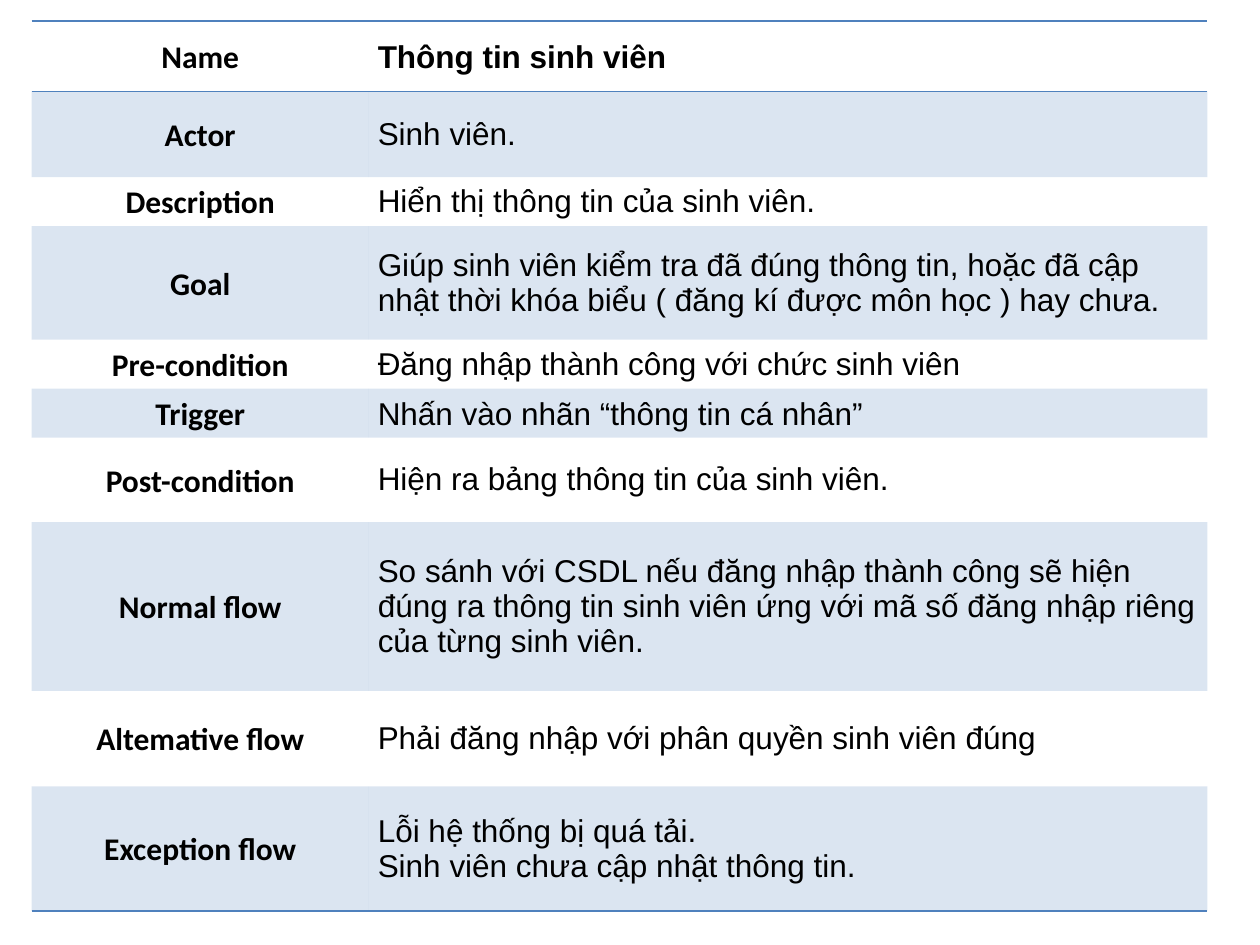
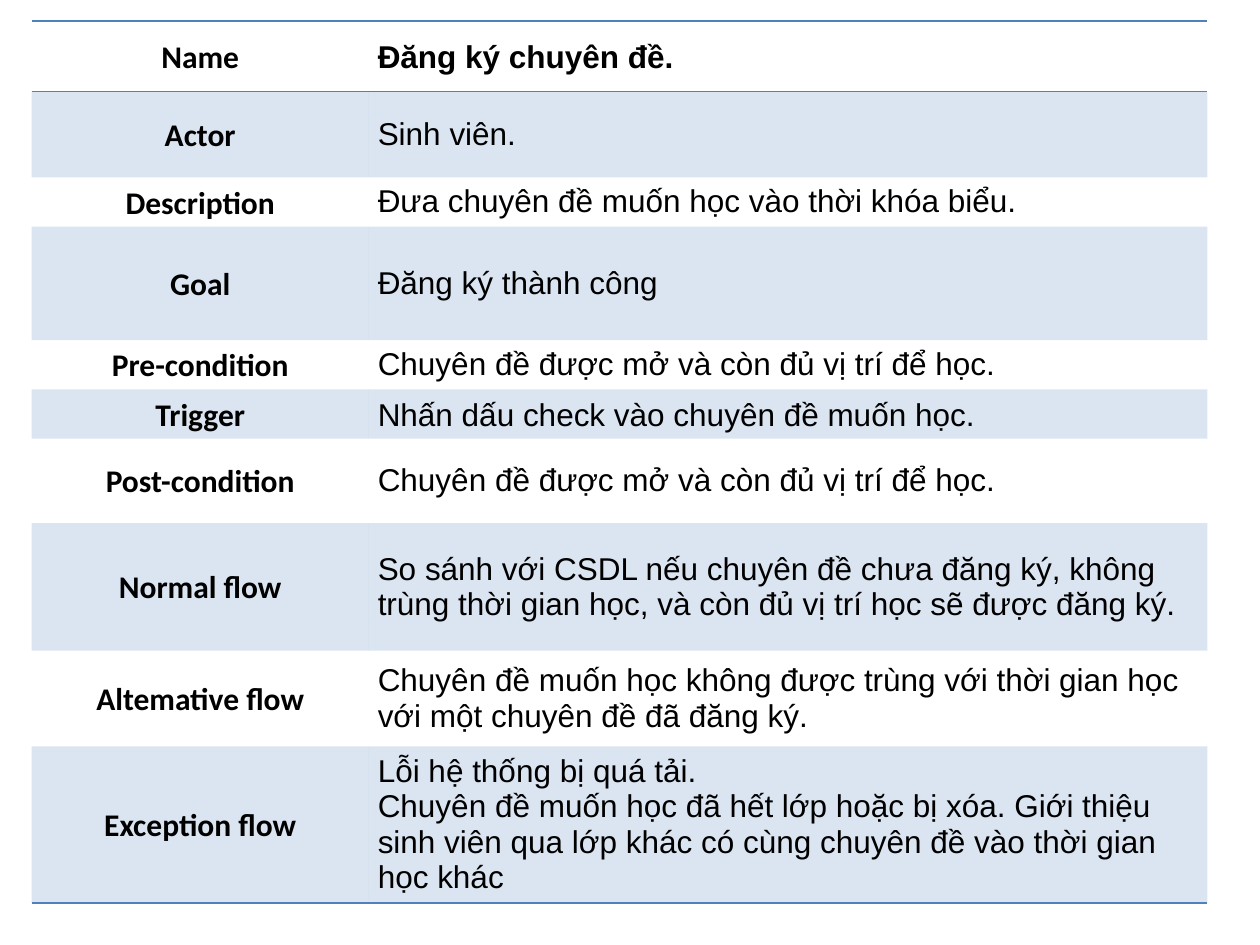
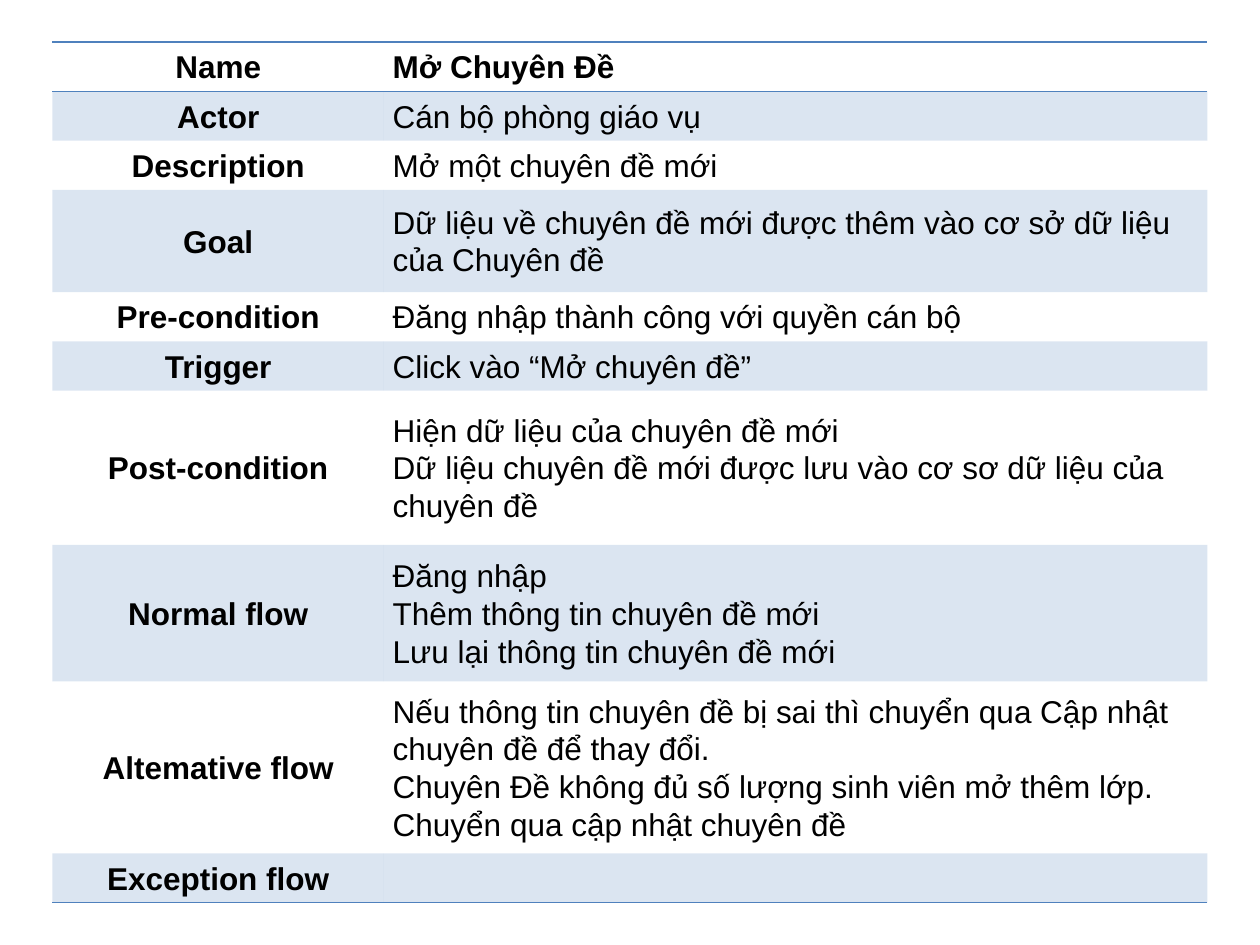
import pptx
import pptx.dml.color
import pptx.enum.text
import pptx.oxml
import pptx.oxml.ns
import pptx.util

COLORS = {"accent": "4F81BD", "text": "000000"}
NO_STYLE = "{2D5ABB26-0587-4C30-8999-92F81FD0307C}"
LABELS = ["Name", "Actor", "Description", "Goal", "Pre-condition", "Trigger",
          "Post-condition", "Normal flow", "Altemative flow", "Exception flow"]
LABEL_SHARE = 0.287  # label column's share of the table width
LOOSE = 1.07         # line spacing of labels and of some values
CENTER = pptx.enum.text.PP_ALIGN.CENTER
LEFT = pptx.enum.text.PP_ALIGN.LEFT

prs = pptx.Presentation()
prs.slide_width = pptx.util.Inches(10)
prs.slide_height = pptx.util.Inches(7.5)
UNIT = prs.slide_width / 120  # grid of 120 columns by 90 rows


def write(tf, text, font="Arial", size=18, bold=False, align=LEFT, spacing=1.0):
    """Write text into a frame, one paragraph for each line."""
    for i, line in enumerate(text.split("\n")):
        p = tf.paragraphs[0] if i == 0 else tf.add_paragraph()
        p.alignment, p.line_spacing = align, spacing
        r = p.add_run()
        r.text = line
        r.font.name, r.font.size, r.font.bold = font, pptx.util.Pt(size), bold
        r.font.color.rgb = pptx.dml.color.RGBColor.from_string(COLORS["text"])


def add_rule(cell, side):
    """Draw a one-point accent border on a side ('T' or 'B') of a cell."""
    tc_pr = cell._tc.get_or_add_tcPr()
    ln = pptx.oxml.parse_xml(
        f'<a:ln{side} {pptx.oxml.ns.nsdecls("a")} w="12700"><a:solidFill>'
        f'<a:srgbClr val="{COLORS["accent"]}"/></a:solidFill></a:ln{side}>')
    borders = tc_pr.findall(pptx.oxml.ns.qn("a:lnT"))
    tc_pr.insert(len(borders), ln)


def shade(cell, band):
    """Fill a banded cell with the accent at 20% opacity, else leave it clear."""
    if not band:
        cell.fill.background()
        return
    cell.fill.solid()
    cell.fill.fore_color.rgb = pptx.dml.color.RGBColor.from_string(COLORS["accent"])
    color = cell._tc.tcPr.find(".//" + pptx.oxml.ns.qn("a:srgbClr"))
    color.append(pptx.oxml.parse_xml(
        f'<a:alpha {pptx.oxml.ns.nsdecls("a")} val="20000"/>'))


def add_use_case(s, box, weights, values, label_font, loose_rows):
    """Place a use-case table in a box of grid units; weights share its height."""
    x, y, w, h = (round(v * UNIT) for v in box)
    table = s.shapes.add_table(len(LABELS), 2, x, y, w, h).table
    table.first_row = table.horz_banding = False
    table._tbl.tblPr.find(pptx.oxml.ns.qn("a:tableStyleId")).text = NO_STYLE
    table.columns[0].width = round(w * LABEL_SHARE)
    table.columns[1].width = w - table.columns[0].width
    last = len(LABELS) - 1
    for i, (label, value, weight) in enumerate(zip(LABELS, values, weights)):
        table.rows[i].height = round(h * weight / sum(weights))
        for cell in table.rows[i].cells:
            cell.vertical_anchor = pptx.enum.text.MSO_ANCHOR.MIDDLE
            cell.margin_left = cell.margin_right = pptx.util.Inches(0.07)
            cell.margin_top = cell.margin_bottom = 0
            shade(cell, band=i % 2 == 1)
            if i == 0:
                add_rule(cell, "T")
            if i in (0, last):
                add_rule(cell, "B")
        write(table.cell(i, 0).text_frame, label, font=label_font, bold=True,
              align=CENTER, spacing=LOOSE)
        if value:
            write(table.cell(i, 1).text_frame, value, bold=i == 0,
                  spacing=LOOSE if i in loose_rows else 1.0)


STUDENT_INFO = [
    "Thông tin sinh viên",
    "Sinh viên.",
    "Hiển thị thông tin của sinh viên.",
    "Giúp sinh viên kiểm tra đã đúng thông tin, hoặc đã cập nhật thời khóa biểu "
    "( đăng kí được môn học ) hay chưa.",
    "Đăng nhập thành công với chức sinh viên",
    "Nhấn vào nhãn “thông tin cá nhân”",
    "Hiện ra bảng thông tin của sinh viên.",
    "So sánh với CSDL nếu đăng nhập thành công sẽ hiện đúng ra thông tin sinh viên "
    "ứng với mã số đăng nhập riêng của từng sinh viên.",
    "Phải đăng nhập với phân quyền sinh viên đúng",
    "Lỗi hệ thống bị quá tải.\nSinh viên chưa cập nhật thông tin.",
]
TOPIC_SIGNUP = [
    "Đăng ký chuyên đề.",
    "Sinh viên.",
    "Đưa chuyên đề muốn học vào thời khóa biểu.",
    "Đăng ký thành công",
    "Chuyên đề được mở và còn đủ vị trí để học.",
    "Nhấn dấu check vào chuyên đề muốn học.",
    "Chuyên đề được mở và còn đủ vị trí để học.",
    "So sánh với CSDL nếu chuyên đề chưa đăng ký, không trùng thời gian học, "
    "và còn đủ vị trí học sẽ được đăng ký.",
    "Chuyên đề muốn học không được trùng với thời gian học với một chuyên đề "
    "đã đăng ký.",
    "Lỗi hệ thống bị quá tải.\nChuyên đề muốn học đã hết lớp hoặc bị xóa. Giới thiệu "
    "sinh viên qua lớp khác có cùng chuyên đề vào thời gian học khác",
]
TOPIC_OPENING = [
    "Mở Chuyên Đề",
    "Cán bộ phòng giáo vụ",
    "Mở một chuyên đề mới",
    "Dữ liệu về chuyên đề mới được thêm vào cơ sở dữ liệu của Chuyên đề",
    "Đăng nhập thành công với quyền cán bộ",
    "Click vào “Mở chuyên đề”",
    "Hiện dữ liệu của chuyên đề mới\n"
    "Dữ liệu chuyên đề mới được lưu vào cơ sơ dữ liệu của chuyên đề",
    "Đăng nhập\nThêm thông tin chuyên đề mới\nLưu lại thông tin chuyên đề mới",
    "Nếu thông tin chuyên đề bị sai thì chuyển qua Cập nhật chuyên đề để thay đổi.\n"
    "Chuyên Đề không đủ số lượng sinh viên mở thêm lớp. Chuyển qua cập nhật chuyên đề",
    "",
]
STUDENT_ROWS = [56, 68, 39, 90, 39, 39, 67]  # rows above the flows
NAME_AND_TRIGGER = (0, 5)

USE_CASES = [
    ((3, 2, 112, 84.8), STUDENT_ROWS + [134, 76, 99], STUDENT_INFO,
     "Calibri", NAME_AND_TRIGGER),
    ((3, 2, 112, 84), STUDENT_ROWS + [101, 76, 124], TOPIC_SIGNUP,
     "Calibri", NAME_AND_TRIGGER),
    ((5, 4, 110, 82), [39, 39, 39, 81, 39, 39, 122, 108, 136, 39], TOPIC_OPENING,
     "Arial", range(len(LABELS))),
]
for use_case in USE_CASES:
    add_use_case(prs.slides.add_slide(prs.slide_layouts[6]), *use_case)

prs.save("out.pptx")
